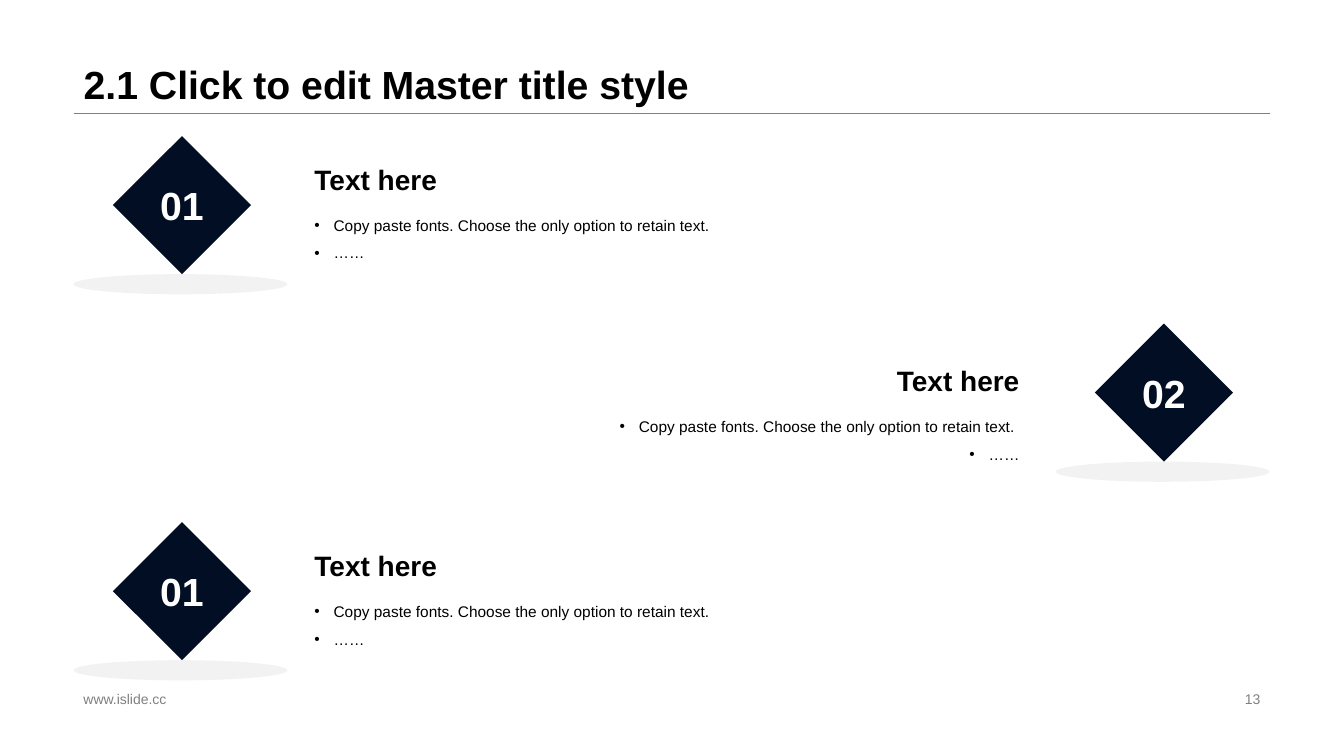
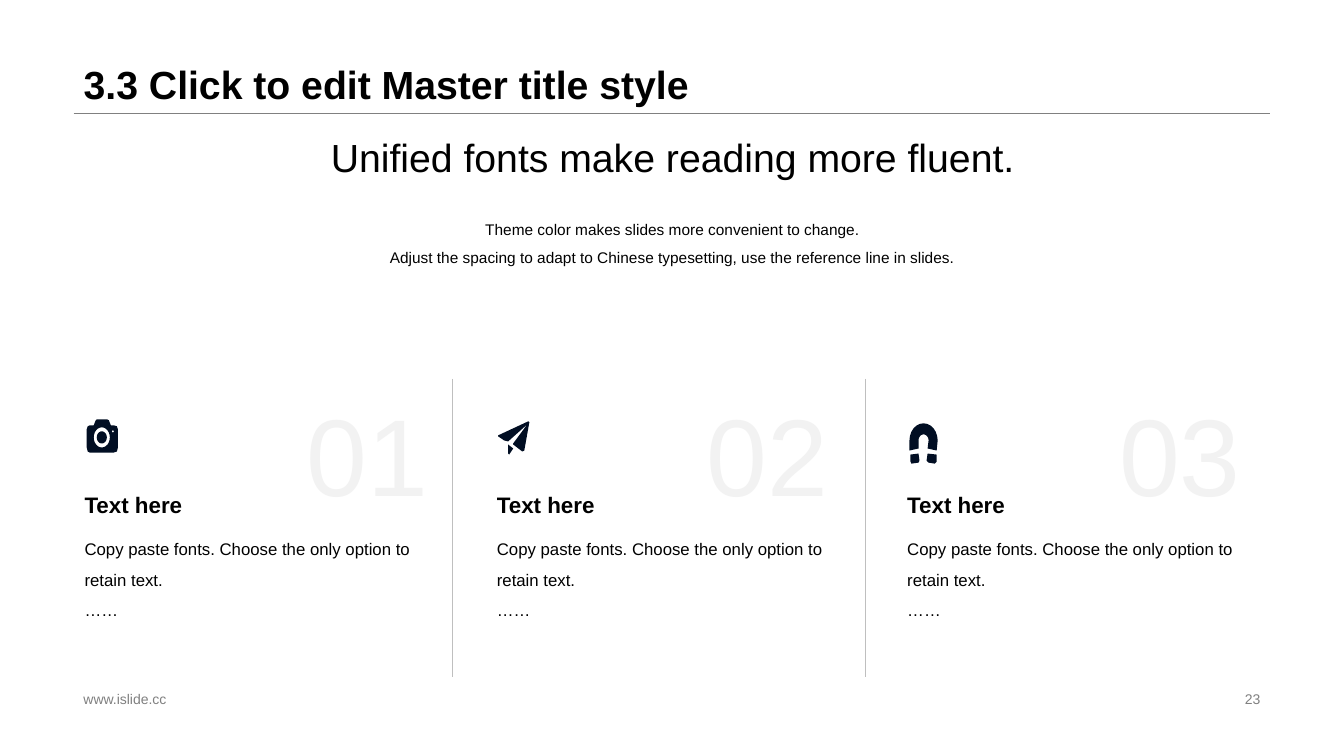
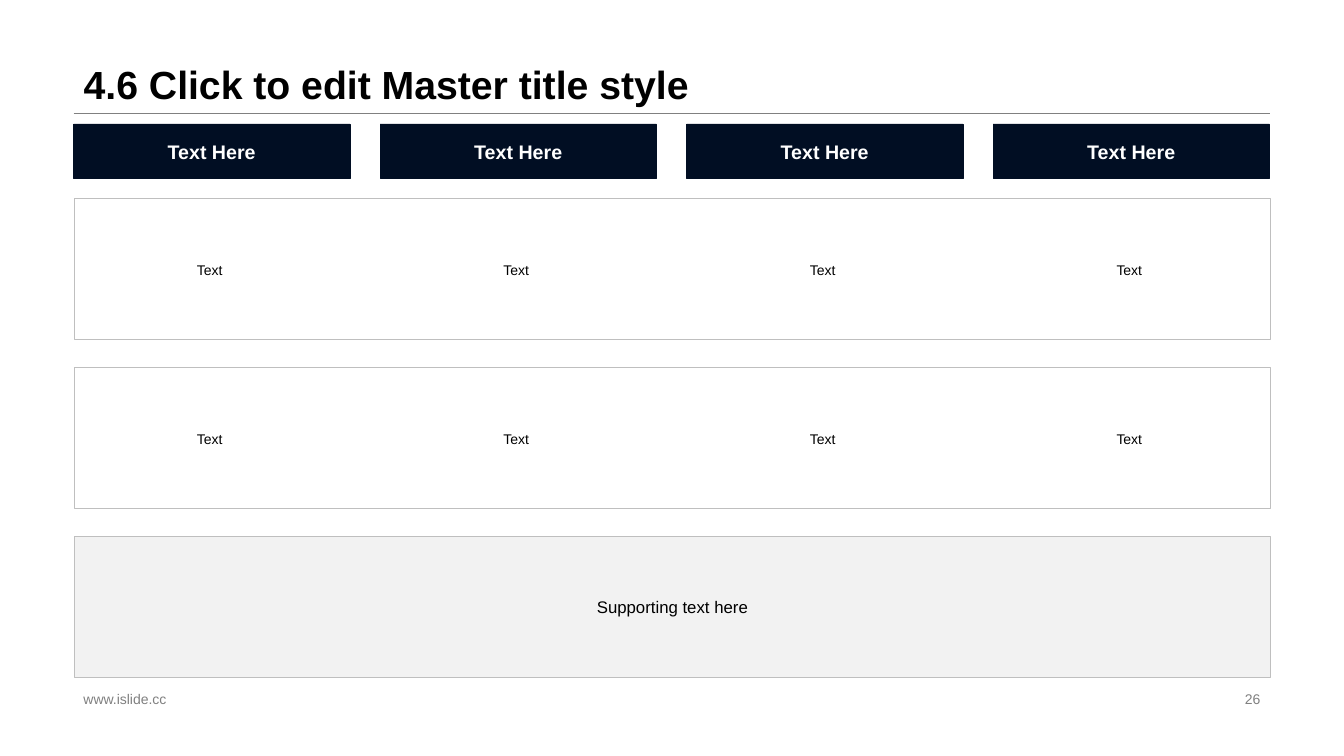
"""Build three slides: numbered points, three columns and a text matrix."""
from dataclasses import dataclass
from math import cos, pi, sin

from lxml import etree
from pptx import Presentation
from pptx import util as u
from pptx.dml.color import RGBColor
from pptx.enum import shapes, text
from pptx.oxml.ns import qn


@dataclass(frozen=True)
class Theme:
    font: str = "Arial"
    ink: str = "000000"
    navy: str = "010E23"
    white: str = "FFFFFF"
    pale: str = "F2F2F2"
    grey: str = "808080"
    border: str = "BFBFBF"
    hairline: float = 0.25
    huge: int = 78
    title: int = 28
    heading: int = 20
    subheading: int = 16
    label: int = 14
    body: int = 12
    small: int = 11
    tiny: int = 10


T = Theme()
LEFT, CENTER, RIGHT = text.PP_ALIGN.LEFT, text.PP_ALIGN.CENTER, text.PP_ALIGN.RIGHT
TOP, MIDDLE, BOTTOM = text.MSO_ANCHOR.TOP, text.MSO_ANCHOR.MIDDLE, text.MSO_ANCHOR.BOTTOM
RECT, OVAL, DIAMOND = (shapes.MSO_SHAPE.RECTANGLE, shapes.MSO_SHAPE.OVAL,
                       shapes.MSO_SHAPE.DIAMOND)


def block(s, at, lines=(), size=T.body, color=T.ink, bold=False, align=LEFT, anchor=TOP,
          spacing=1.0, inset=(0.1, 0.05), bullet=False, kind=None, fill=None, line=None, sp=None):
    """Place a text box, preset shape or given placeholder and write its lines."""
    place = [u.Inches(v) for v in at]
    if sp is not None:
        sp.left, sp.top, sp.width, sp.height = place
    elif kind is None:
        sp = s.shapes.add_textbox(*place)
    else:
        sp = s.shapes.add_shape(kind, *place)
        sp.shadow.inherit = False
        sp.fill.background()
        sp.line.fill.background()
    if fill:
        sp.fill.solid()
        sp.fill.fore_color.rgb = RGBColor.from_string(fill)
    if line:
        sp.line.color.rgb = RGBColor.from_string(line)
        sp.line.width = u.Pt(T.hairline)
    tf = sp.text_frame
    tf.word_wrap = True
    tf.auto_size = text.MSO_AUTO_SIZE.NONE
    tf.vertical_anchor = anchor
    tf.margin_left = tf.margin_right = u.Inches(inset[0])
    tf.margin_top = tf.margin_bottom = u.Inches(inset[1])
    for i, words in enumerate(lines):
        p = tf.add_paragraph() if i else tf.paragraphs[0]
        p.alignment = align
        p.line_spacing = spacing
        if bullet:
            pr = p._p.get_or_add_pPr()
            pr.set("marL", str(u.Inches(0.19)))
            pr.set("indent", str(-u.Inches(0.19)))
            etree.SubElement(pr, qn("a:buFont")).set("typeface", T.font)
            etree.SubElement(pr, qn("a:buChar")).set("char", "•")
        r = p.add_run()
        r.text = words
        r.font.name = T.font
        r.font.size = u.Pt(size)
        r.font.bold = bold
        r.font.color.rgb = RGBColor.from_string(color)


def rule(s, start, end, color):
    """Draw a hairline between two points."""
    ln = s.shapes.add_connector(shapes.MSO_CONNECTOR.STRAIGHT,
                                *[u.Inches(v) for v in (*start, *end)])
    ln.line.color.rgb = RGBColor.from_string(color)
    ln.line.width = u.Pt(T.hairline)
    etree.SubElement(ln._element.spPr, qn("a:effectLst"))
    return ln


prs = Presentation()
prs.slide_width, prs.slide_height = u.Inches(13.33), u.Inches(7.5)
layout = prs.slide_layouts[5]

for section, number in (("2.1", "13"), ("3.3", "23"), ("4.6", "26")):
    s = prs.slides.add_slide(layout)
    block(s, (0.73, 0, 11.87, 1.12), [f"{section} Click to edit Master title style"],
          T.title, bold=True, anchor=BOTTOM, spacing=0.9, sp=s.shapes.title)
    block(s, (0.73, 6.82, 4.53, 0.23), ["www.islide.cc"], T.tiny, T.grey, anchor=MIDDLE)
    block(s, (9.42, 6.82, 3.18, 0.23), [number], T.tiny, T.grey, align=RIGHT, anchor=MIDDLE)

points, columns, matrix = prs.slides
title_rule = rule(points, (0.73, 1.12), (12.6, 1.12), T.grey)
layout.shapes.element.append(title_rule._element)

advice = "Copy paste fonts. Choose the only option to retain text."

for number, x, y, text_y, text_w, align, tail in (
        ("01", 0.73, 1.35, 1.51, 7.45, LEFT, ""),
        ("02", 10.47, 3.21, 3.51, 7.19, RIGHT, " "),
        ("01", 0.73, 5.18, 5.34, 7.45, LEFT, "")):
    block(points, (x, y + 1.37, 2.12, 0.2), kind=OVAL, fill=T.pale)
    block(points, (x + 0.39, y, 1.37, 1.37), [number], T.title, T.white, True, CENTER,
          MIDDLE, inset=(0, 0), kind=DIAMOND, fill=T.navy)
    block(points, (3.02, text_y, text_w, 0.48), ["Text here"], T.heading, bold=True,
          align=align, anchor=BOTTOM)
    block(points, (3.02, text_y + 0.49, text_w, 0.89), [advice + tail, "……"], T.small,
          align=align, spacing=1.5, bullet=True)

circle = [(cos(i * pi / 12), sin(i * pi / 12)) for i in range(25)]
arch = circle[12:]
camera = [
    [(0.89, 4.22), (0.93, 4.22), (0.95, 4.17), (0.96, 4.16), (1.06, 4.16), (1.08, 4.17),
     (1.1, 4.22), (1.13, 4.22), (1.16, 4.23), (1.17, 4.26), (1.17, 4.44), (1.16, 4.48),
     (1.13, 4.49), (0.89, 4.49), (0.87, 4.48), (0.86, 4.44), (0.86, 4.26), (0.87, 4.23)],
    *[[(cx + rx * x, cy + ry * y) for x, y in circle] for cx, cy, rx, ry in (
        (1.01, 4.34, 0.08, 0.1), (1.01, 4.34, 0.05, 0.06), (1.12, 4.28, 0.01, 0.01))],
]
plane = [
    [(5.24, 4.18), (4.94, 4.32), (4.94, 4.33), (5, 4.37), (5.04, 4.38), (5.23, 4.21),
     (5.09, 4.4), (5.09, 4.41), (5.18, 4.48), (5.2, 4.47), (5.25, 4.19)],
    [(5.04, 4.5), (5.05, 4.51), (5.09, 4.45), (5.04, 4.41)],
]
magnet = [
    [(9.02, 4.47), *[(9.16 + 0.14 * x, 4.37 + 0.17 * y) for x, y in arch],
     (9.29, 4.47), (9.2, 4.45),
     *[(9.16 + 0.05 * x, 4.37 + 0.06 * y) for x, y in reversed(arch)], (9.11, 4.45)],
    [(9.19, 4.57), (9.21, 4.59), (9.27, 4.6), (9.29, 4.58), (9.29, 4.51), (9.2, 4.5)],
    [(9.03, 4.51), (9.03, 4.58), (9.04, 4.6), (9.11, 4.59), (9.12, 4.57), (9.11, 4.5)],
]

for number, number_x, x, icon in (("01", 3.04, 0.74, camera), ("02", 7.01, 4.83, plane),
                                  ("03", 11.1, 8.9, magnet)):
    block(columns, (number_x, 3.84, 1.3, 1.25), [number], T.huge, T.pale, inset=(0, 0))
    block(columns, (x, 5.2, 3.46, 1.18), [advice, "……"], spacing=1.5)
    block(columns, (x, 4.84, 3.46, 0.34), ["Text here"], T.subheading, bold=True, anchor=MIDDLE)
    outlines = [[(u.Inches(px), u.Inches(py)) for px, py in outline] for outline in icon]
    pen = columns.shapes.build_freeform(*outlines[0][0])
    for outline in outlines:
        pen.move_to(*outline[0])
        pen.add_line_segments(outline[1:], close=True)
    sp = pen.convert_to_shape()
    sp.shadow.inherit = False
    sp.fill.solid()
    sp.fill.fore_color.rgb = RGBColor.from_string(T.navy)
    sp.line.fill.background()

for x in (4.48, 8.58):
    rule(columns, (x, 3.76), (x, 6.72), T.border)
block(columns, (2.08, 1.24, 9.18, 0.64), ["Unified fonts make reading more fluent."], T.title,
      align=CENTER, anchor=MIDDLE, inset=(0.05, 0.02))
block(columns, (2.08, 2.07, 9.18, 0.65),
      ["Theme color makes slides more convenient to change.",
       "Adjust the spacing to adapt to Chinese typesetting, use the reference line in slides."],
      T.small, align=CENTER, spacing=1.5, inset=(0.05, 0.02))

column_xs = [0.73 + 3.04 * i for i in range(4)]
for x in column_xs:
    block(matrix, (x, 1.23, 2.74, 0.54), ["Text Here"], T.label, T.white, True, CENTER,
          MIDDLE, kind=RECT, fill=T.navy, line=T.navy)
for y in (1.97, 3.64):
    block(matrix, (0.74, y, 11.86, 1.4), kind=RECT, line=T.border)
    for x in column_xs:
        block(matrix, (x, y + 0.12, 2.74, 1.18), ["Text "], T.tiny, align=CENTER, anchor=MIDDLE)
block(matrix, (0.74, 5.32, 11.86, 1.4), ["Supporting text here"], align=CENTER, anchor=MIDDLE,
      kind=RECT, fill=T.pale, line=T.border)

prs.save("out.pptx")
